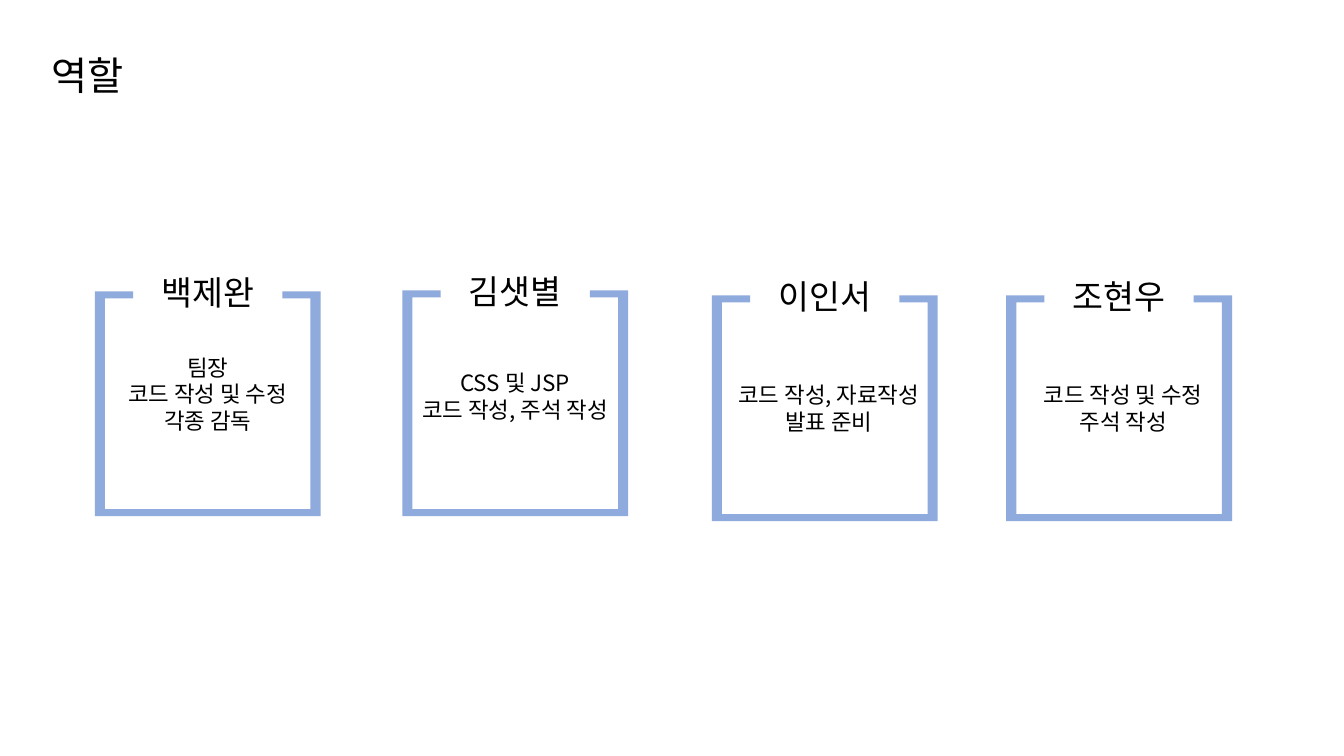
from dataclasses import dataclass
from lxml.etree import SubElement
from pptx import Presentation
from pptx.dml.color import RGBColor
from pptx.enum.text import MSO_ANCHOR, MSO_AUTO_SIZE, PP_ALIGN
from pptx.oxml.ns import qn
from pptx.util import Inches, Pt

TITLE = "역할"
ROLES = [
    {"name": "백제완", "tasks": ["팀장", "코드 작성 및 수정", "각종 감독"],
     "left": 0.94, "top": 2.89, "tall": 2.23, "text": (0.72, 3.46, 2.68, 0.94)},
    {"name": "김샛별", "tasks": ["CSS 및 JSP", "코드 작성, 주석 작성"],
     "left": 3.99, "top": 2.88, "tall": 2.24, "text": (3.36, 3.61, 3.5, 0.64)},
    {"name": "이인서", "tasks": ["코드 작성, 자료작성", "발표 준비"],
     "left": 7.06, "top": 2.93, "tall": 2.24, "text": (6.47, 3.73, 3.5, 0.64)},
    {"name": "조현우", "tasks": ["코드 작성 및 수정", "주석 작성"],
     "left": 9.98, "top": 2.93, "tall": 2.24, "text": (9.39, 3.73, 3.5, 0.64)},
]


@dataclass
class Theme:
    font: str = "Noto Sans CJK KR"
    ink: str = "000000"
    frame: str = "8FAADC"
    title: int = 28
    name: int = 24
    task: int = 16


theme = Theme()
WIDE, SIDE, EDGE, STUB = 2.24, 0.1, 0.07, 0.38


def put_text(box, lines, size, align=PP_ALIGN.CENTER, wrap=True):
    body = box.text_frame
    body.word_wrap = wrap
    body.auto_size = MSO_AUTO_SIZE.NONE
    body.vertical_anchor = MSO_ANCHOR.TOP
    for i, line in enumerate(lines):
        para = body.add_paragraph() if i else body.paragraphs[0]
        para.alignment = align
        run = para.add_run()
        run.text = line
        run.font.name = theme.font
        run.font.size = Pt(size)
        run.font.color.rgb = RGBColor.from_string(theme.ink)
        SubElement(run.font._element, qn("a:ea"), typeface=theme.font)


def add_frame(slide, left, top, tall):
    half = [(STUB, 0), (STUB, EDGE), (SIDE, EDGE), (SIDE, tall - EDGE)]
    flip = [(WIDE - x, y) for x, y in reversed(half)]
    ring = [(0, 0)] + half + flip + [(WIDE, 0), (WIDE, tall), (0, tall)]
    dots = [(Inches(left + x), Inches(top + y)) for x, y in ring]
    pen = slide.shapes.build_freeform(*dots[0])
    pen.add_line_segments(dots[1:], close=True)
    shape = pen.convert_to_shape()
    shape.shadow.inherit = False
    shape.fill.solid()
    shape.fill.fore_color.rgb = RGBColor.from_string(theme.frame)
    shape.line.fill.background()


def add_role(slide, role):
    left, top = role["left"], role["top"]
    add_frame(slide, left, top, role["tall"])
    spot = (left + (WIDE - 1.14) / 2, top - 0.24, 1.14, 0.5)
    name = slide.shapes.add_textbox(*map(Inches, spot))
    put_text(name, [role["name"]], theme.name, wrap=False)
    task = slide.shapes.add_textbox(*map(Inches, role["text"]))
    put_text(task, role["tasks"], theme.task)


def main():
    deck = Presentation()
    deck.slide_width, deck.slide_height = Inches(13.33), Inches(7.5)
    slide = deck.slides.add_slide(deck.slide_layouts[5])
    head = slide.shapes.title
    head.left, head.top, head.width, head.height = map(
        Inches, (0.41, 0.46, 1.02, 0.57))
    put_text(head, [TITLE], theme.title, align=PP_ALIGN.LEFT)
    for role in ROLES:
        add_role(slide, role)
    deck.save("out.pptx")


if __name__ == "__main__":
    main()
